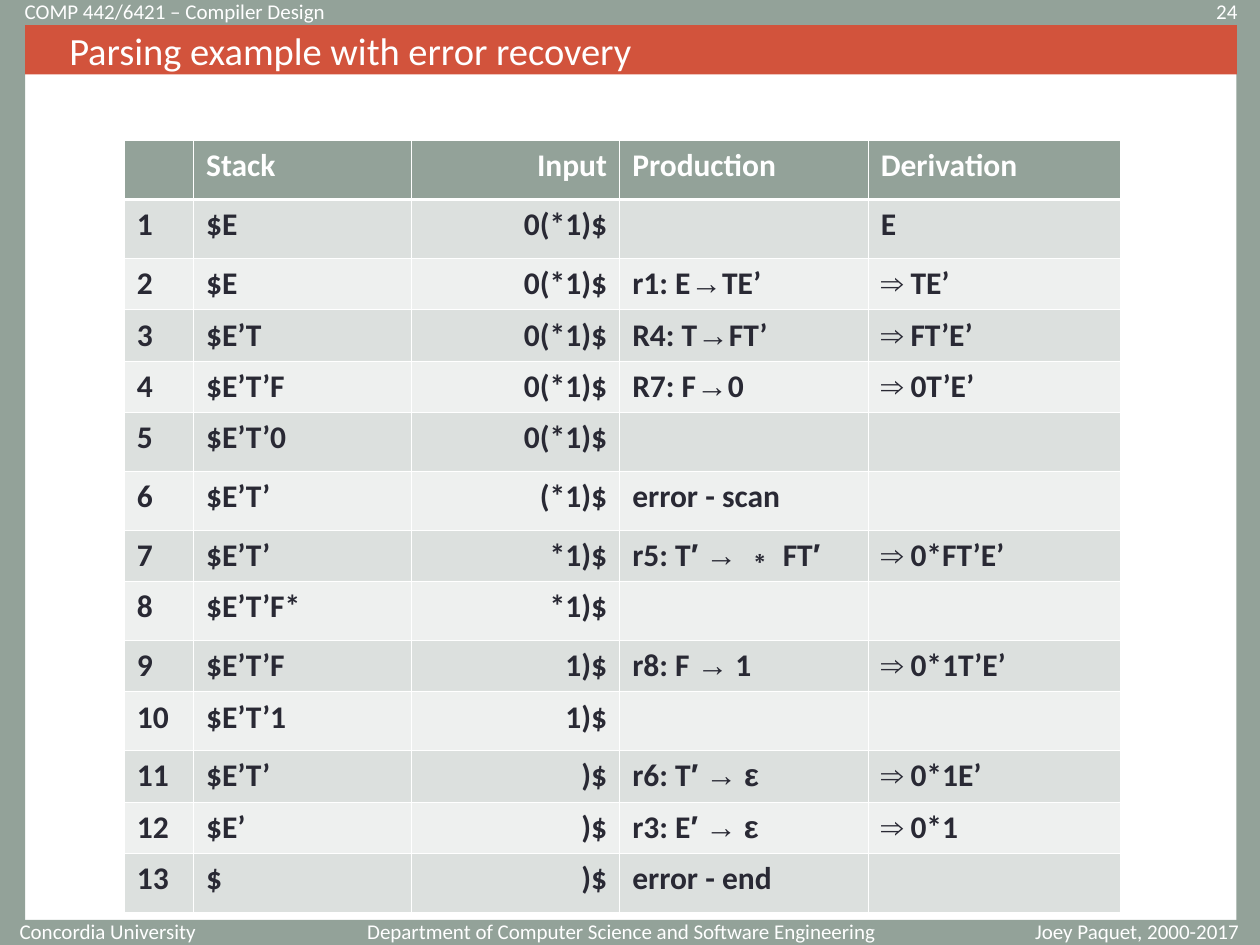
from dataclasses import dataclass
from itertools import groupby

from lxml.etree import SubElement
from pptx import Presentation
from pptx.dml.color import RGBColor
from pptx.enum.shapes import MSO_SHAPE
from pptx.enum.text import MSO_ANCHOR, PP_ALIGN
from pptx.oxml.ns import qn
from pptx.slide import Slide
from pptx.table import Table, _Cell
from pptx.text.text import Font
from pptx.util import Pt


@dataclass(frozen=True)
class Theme:
    frame: str = "93A299"
    title: str = "D2533C"
    light: str = "FFFFFF"
    dark: str = "292934"
    odd_row: str = "DCE0DE"
    even_row: str = "EEF0EF"
    text_font: str = "Calibri"
    symbol_font: str = "Arial"
    title_size: float = 22
    table_size: float = 18
    caption_size: float = 12
    thin_line: float = 0.45
    thick_line: float = 1.47


@dataclass(frozen=True)
class Box:
    left: float
    top: float
    width: float
    height: float

    def lengths(self) -> tuple[Pt, ...]:
        return Pt(self.left), Pt(self.top), Pt(self.width), Pt(self.height)


@dataclass(frozen=True)
class Caption:
    text: str
    box: Box
    alignment: PP_ALIGN


@dataclass(frozen=True)
class Step:
    stack: str
    input: str
    production: str = ""
    derivation: str = ""


THEME = Theme()
SYMBOLS = "→⇒′∗ε"
SLIDE_WIDTH, SLIDE_HEIGHT = 720, 540
BAR = 14.4
FRAME_BARS = [
    Box(0, 0, SLIDE_WIDTH, BAR),
    Box(0, SLIDE_HEIGHT - BAR, SLIDE_WIDTH, BAR),
    Box(0, 0, BAR, SLIDE_HEIGHT),
    Box(706.5, 0, 13.5, SLIDE_HEIGHT),
]
TITLE_BOX = Box(BAR, BAR, 692.4, 28.1)
HEADER_TOP, FOOTER_TOP, CAPTION_HEIGHT = 2.2, 527.8, 8.6
CAPTIONS = [
    Caption("Concordia University", Box(2, FOOTER_TOP, 117, CAPTION_HEIGHT), PP_ALIGN.RIGHT),
    Caption("Department of Computer Science and Software Engineering",
            Box(201.6, FOOTER_TOP, 306, CAPTION_HEIGHT), PP_ALIGN.RIGHT),
    Caption("Joey Paquet, 2000-2017", Box(575.3, FOOTER_TOP, 149, CAPTION_HEIGHT), PP_ALIGN.CENTER),
    Caption("24", Box(630, HEADER_TOP, 84.2, CAPTION_HEIGHT), PP_ALIGN.RIGHT),
    Caption("COMP 442/6421 – Compiler Design", Box(7, HEADER_TOP, 403, CAPTION_HEIGHT), PP_ALIGN.LEFT),
]
TABLE_LEFT, TABLE_TOP = 71, 80.4
COLUMN_WIDTHS = [39.6, 124.5, 119, 142, 144]
INPUT_COLUMN = 2
FULL_ROW_HEIGHT, GAP_ROW_HEIGHT = 29.4, 33.6
HEADINGS = ["", "Stack", "Input", "Production", "Derivation"]
STEPS = [
    Step("$E", "0(*1)$", derivation="E"),
    Step("$E", "0(*1)$", "r1: E→TE’", "⇒ TE’"),
    Step("$E’T", "0(*1)$", "R4: T→FT’", "⇒ FT’E’"),
    Step("$E’T’F", "0(*1)$", "R7: F→0", "⇒ 0T’E’"),
    Step("$E’T’0", "0(*1)$"),
    Step("$E’T’", "(*1)$", "error - scan"),
    Step("$E’T’", "*1)$", "r5: T′ → ∗ FT′", "⇒ 0*FT’E’"),
    Step("$E’T’F*", "*1)$"),
    Step("$E’T’F", "1)$", "r8: F → 1", "⇒ 0*1T’E’"),
    Step("$E’T’1", "1)$"),
    Step("$E’T’", ")$", "r6: T′ → ε", "⇒ 0*1E’"),
    Step("$E’", ")$", "r3: E′ → ε", "⇒ 0*1"),
    Step("$", ")$", "error - end"),
]


def style_font(font: Font, size: float, color: str, bold: bool = False) -> None:
    font.name = THEME.text_font
    font.size = Pt(size)
    font.bold = bold
    font.color.rgb = RGBColor.from_string(color)


def add_bar(slide: Slide, box: Box, color: str):
    shape = slide.shapes.add_shape(MSO_SHAPE.RECTANGLE, *box.lengths())
    shape.shadow.inherit = False
    shape.fill.solid()
    shape.fill.fore_color.rgb = RGBColor.from_string(color)
    shape.line.fill.background()
    return shape


def add_title(slide: Slide, text: str) -> None:
    frame = add_bar(slide, TITLE_BOX, THEME.title).text_frame
    frame.margin_left = Pt(25.2)
    frame.vertical_anchor = MSO_ANCHOR.MIDDLE
    paragraph = frame.paragraphs[0]
    paragraph.text = text
    paragraph.alignment = PP_ALIGN.LEFT
    style_font(paragraph.font, THEME.title_size, THEME.light)


def add_caption(slide: Slide, caption: Caption) -> None:
    frame = slide.shapes.add_textbox(*caption.box.lengths()).text_frame
    frame.word_wrap = True
    frame.vertical_anchor = MSO_ANCHOR.MIDDLE
    paragraph = frame.paragraphs[0]
    paragraph.text = caption.text
    paragraph.alignment = caption.alignment
    style_font(paragraph.font, THEME.caption_size, THEME.light)


def set_borders(cell: _Cell, top: float, bottom: float) -> None:
    properties = cell._tc.get_or_add_tcPr()
    widths = {"a:lnL": THEME.thin_line, "a:lnR": THEME.thin_line, "a:lnT": top, "a:lnB": bottom}
    for position, (tag, width) in enumerate(widths.items()):
        line = SubElement(properties, qn(tag), w=str(Pt(width)))
        SubElement(SubElement(line, qn("a:solidFill")), qn("a:srgbClr"), val=THEME.light)
        properties.insert(position, line)


def fill_cell(cell: _Cell, text: str, row: int, column: int) -> None:
    header = row == 0
    color = THEME.frame if header else THEME.odd_row if row % 2 else THEME.even_row
    cell.fill.solid()
    cell.fill.fore_color.rgb = RGBColor.from_string(color)
    set_borders(cell, THEME.thick_line if row == 1 else THEME.thin_line,
                THEME.thick_line if header else THEME.thin_line)
    paragraph = cell.text_frame.paragraphs[0]
    paragraph.alignment = PP_ALIGN.RIGHT if column == INPUT_COLUMN else PP_ALIGN.LEFT
    style_font(paragraph.font, THEME.table_size, THEME.light if header else THEME.dark, True)
    for is_symbol, characters in groupby(text, key=lambda character: character in SYMBOLS):
        run = paragraph.add_run()
        run.text = "".join(characters)
        if is_symbol:
            run.font.name = THEME.symbol_font


def add_parse_table(slide: Slide) -> Table:
    rows = [HEADINGS] + [
        [str(number), step.stack, step.input, step.production, step.derivation]
        for number, step in enumerate(STEPS, start=1)
    ]
    heights = [FULL_ROW_HEIGHT if all(texts) else GAP_ROW_HEIGHT for texts in rows]
    box = Box(TABLE_LEFT, TABLE_TOP, sum(COLUMN_WIDTHS), sum(heights))
    table = slide.shapes.add_table(len(rows), len(HEADINGS), *box.lengths()).table
    for column, width in zip(table.columns, COLUMN_WIDTHS):
        column.width = Pt(width)
    for row, (texts, height) in enumerate(zip(rows, heights)):
        table.rows[row].height = Pt(height)
        for column, text in enumerate(texts):
            fill_cell(table.cell(row, column), text, row, column)
    return table


def main() -> None:
    presentation = Presentation()
    presentation.slide_width = Pt(SLIDE_WIDTH)
    presentation.slide_height = Pt(SLIDE_HEIGHT)
    slide = presentation.slides.add_slide(presentation.slide_layouts[6])
    for box in FRAME_BARS:
        add_bar(slide, box, THEME.frame)
    add_title(slide, "Parsing example with error recovery")
    for caption in CAPTIONS:
        add_caption(slide, caption)
    add_parse_table(slide)
    presentation.save("out.pptx")


if __name__ == "__main__":
    main()
